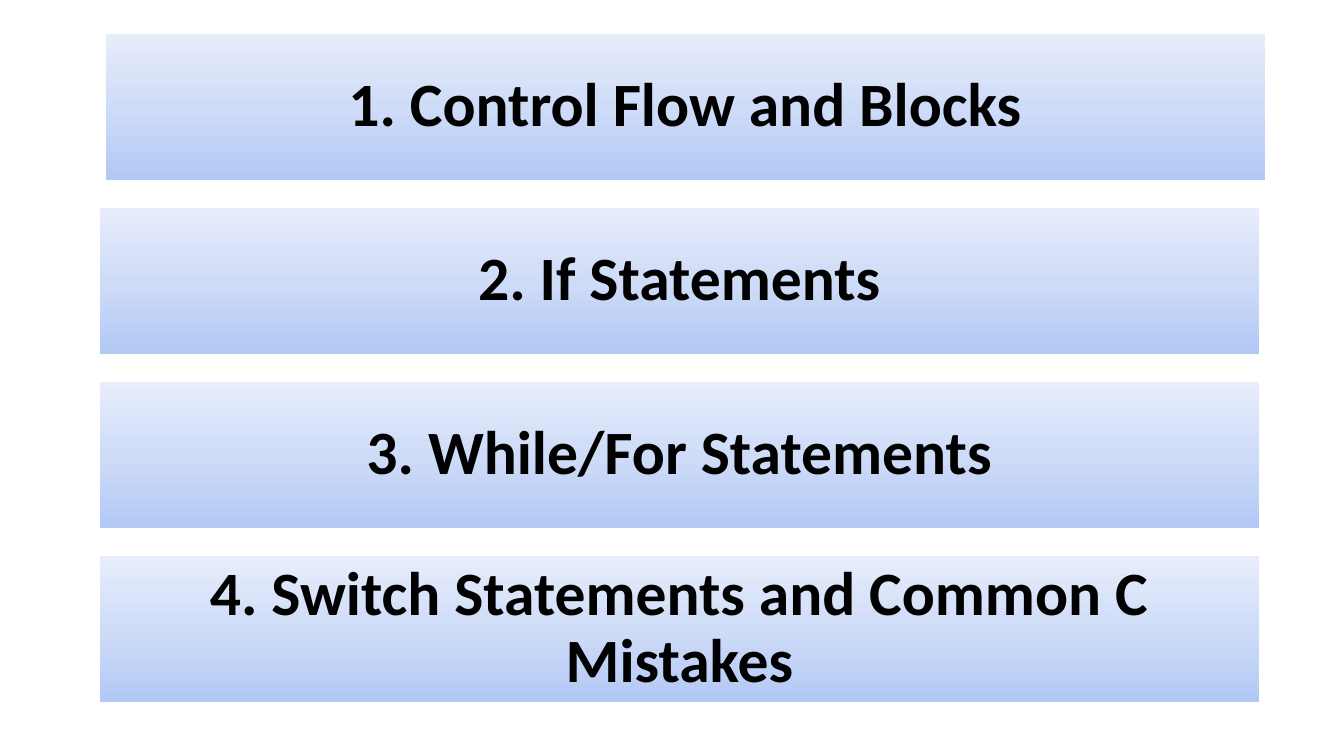
from copy import deepcopy

from pptx import Presentation
from pptx.dml.color import RGBColor
from pptx.enum.shapes import MSO_SHAPE
from pptx.enum.text import MSO_ANCHOR, MSO_AUTO_SIZE, PP_ALIGN
from pptx.oxml.ns import qn
from pptx.util import Pt

RECTANGLE = MSO_SHAPE.RECTANGLE
MIDDLE = MSO_ANCHOR.MIDDLE
NO_AUTOFIT = MSO_AUTO_SIZE.NONE
CENTER = PP_ALIGN.CENTER

TITLE_ONLY_LAYOUT = 5
COLORS = {"bottom": "B2C8F5", "middle": "CFDCF8", "top": "E7EDFB", "text": "000000"}
GRADIENT = [(0, "bottom"), (0.5, "middle"), (1, "top")]

TITLE = "1. Control Flow and Blocks"
TOPICS = [
    "2. If Statements",
    "3. While/For Statements",
    "4. Switch Statements and Common C Mistakes",
]
TITLE_LEFT, TOPIC_LEFT = 75.6, 71.4
FIRST_TOP, PITCH = 24.2, 124.3
BAR_WIDTH, BAR_HEIGHT = 828, 104.3


def set_all(target, values):
    for name, value in values.items():
        setattr(target, name, value)


class AgendaSlide:
    FRAME = {"word_wrap": True, "auto_size": NO_AUTOFIT, "vertical_anchor": MIDDLE}
    PARAGRAPH = {"alignment": CENTER, "line_spacing": 0.9}
    FONT = {"name": "Calibri", "size": Pt(44), "bold": True}

    def __init__(self, slide):
        self.slide = slide

    def add_title(self, text, left, top):
        shape = self.slide.shapes.title
        position = {"left": left, "top": top, "width": BAR_WIDTH, "height": BAR_HEIGHT}
        set_all(shape, {name: Pt(value) for name, value in position.items()})
        self.style_bar(shape, text)

    def add_bar(self, text, left, top):
        shape = self.slide.shapes.add_shape(
            RECTANGLE, Pt(left), Pt(top), Pt(BAR_WIDTH), Pt(BAR_HEIGHT)
        )
        shape.shadow.inherit = False
        self.style_bar(shape, text)

    def style_bar(self, shape, text):
        self.fill_gradient(shape)
        shape.line.fill.background()
        frame = shape.text_frame
        frame.text = text
        set_all(frame, self.FRAME)
        paragraph = frame.paragraphs[0]
        set_all(paragraph, self.PARAGRAPH)
        font = paragraph.runs[0].font
        set_all(font, self.FONT)
        font.color.rgb = RGBColor.from_string(COLORS["text"])

    def fill_gradient(self, shape):
        """Fill with three stops; the preset gradient only has two."""
        shape.fill.gradient()
        shape.fill.gradient_angle = 90
        stop_list = next(shape.element.iter(qn("a:gsLst")))
        stop_list.append(deepcopy(stop_list[-1]))
        for stop, (position, color) in zip(shape.fill.gradient_stops, GRADIENT):
            stop.position = position
            stop.color.rgb = RGBColor.from_string(COLORS[color])


def main():
    presentation = Presentation()
    set_all(presentation, {"slide_width": Pt(960), "slide_height": Pt(540)})
    layout = presentation.slide_layouts[TITLE_ONLY_LAYOUT]
    agenda = AgendaSlide(presentation.slides.add_slide(layout))
    agenda.add_title(TITLE, TITLE_LEFT, FIRST_TOP)
    for row, topic in enumerate(TOPICS, start=1):
        agenda.add_bar(topic, TOPIC_LEFT, FIRST_TOP + row * PITCH)
    presentation.save("out.pptx")


if __name__ == "__main__":
    main()
